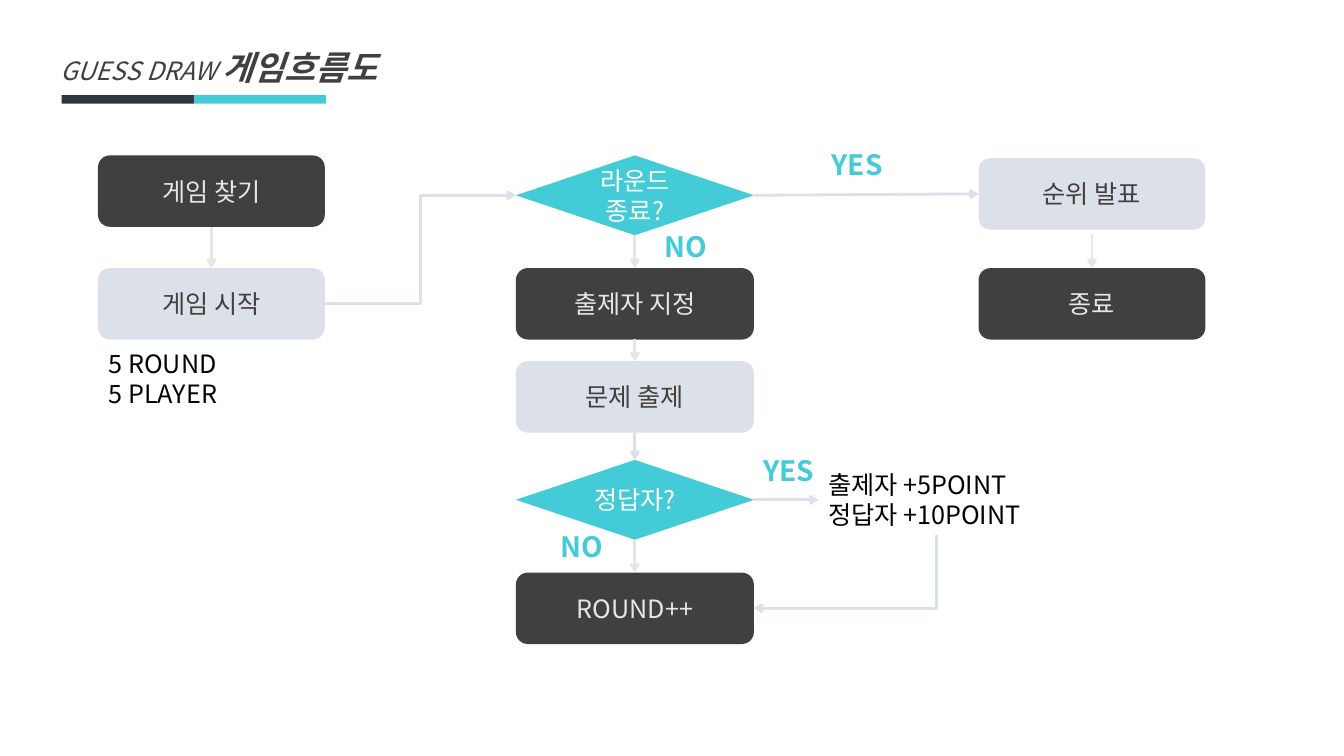
from lxml import etree
from pptx import Presentation
from pptx import util as u
from pptx.dml.color import RGBColor
from pptx.enum import shapes, text
from pptx.oxml.ns import qn

Pt = u.Pt
TOP, LEFT, BOTTOM, RIGHT = range(4)


class FlowSlide:
    font = "Noto Sans CJK KR"
    colors = {"dark": "404040", "pale": "DCE0E9", "teal": "43CBD7", "navy": "313540",
              "light": "E7E6E6", "white": "FFFFFF", "black": "000000"}

    def __init__(self, slide):
        self.slide = slide

    def color(self, name):
        return RGBColor.from_string(self.colors[name])

    def style(self, run, size, color, bold=False, italic=False):
        run.font.size = Pt(size)
        run.font.bold = bold
        run.font.italic = italic
        run.font.color.rgb = self.color(color)
        run.font.name = self.font
        etree.SubElement(run.font._element, qn("a:ea")).set("typeface", self.font)

    def title(self, lead, main):
        heading = self.slide.shapes.title
        heading.left, heading.top, heading.width, heading.height = Pt(36), Pt(1), Pt(330), Pt(65)
        frame = heading.text_frame
        frame.vertical_anchor = text.MSO_ANCHOR.TOP
        frame.auto_size = text.MSO_AUTO_SIZE.NONE
        line = frame.paragraphs[0]
        line.alignment = text.PP_ALIGN.LEFT
        line.line_spacing = 2.0
        for words, size, bold in ((lead, 18, False), (main, 24, True)):
            run = line.add_run()
            run.text = words
            self.style(run, size, "dark", bold, italic=True)

    def block(self, kind, left, top, width, height, fill):
        block = self.slide.shapes.add_shape(kind, Pt(left), Pt(top), Pt(width), Pt(height))
        block.shadow.inherit = False
        block.fill.solid()
        block.fill.fore_color.rgb = self.color(fill)
        block.line.fill.background()
        return block

    def wording(self, frame, words, size, color, bold=False, align=text.PP_ALIGN.LEFT):
        frame.word_wrap = True
        frame.text = words
        for line in frame.paragraphs:
            line.alignment = align
            for run in line.runs:
                self.style(run, size, color, bold)

    def node(self, words, column, top, fill, ink):
        decision = fill == "teal"
        kind = shapes.MSO_SHAPE.FLOWCHART_DECISION if decision else shapes.MSO_SHAPE.ROUNDED_RECTANGLE
        left, width = column
        node = self.block(kind, left, top, width, 57 if decision else 51, fill)
        node.text_frame.vertical_anchor = text.MSO_ANCHOR.MIDDLE
        self.wording(node.text_frame, words, 18, ink, align=text.PP_ALIGN.CENTER)
        return node

    def step(self, words, column, top):
        return self.node(words, column, top, "dark", "light")

    def stage(self, words, column, top):
        return self.node(words, column, top, "pale", "dark")

    def decision(self, words, column, top):
        return self.node(words, column, top, "teal", "white")

    def label(self, words, left, top, width, height, size=18, color="black", bold=False):
        box = self.slide.shapes.add_textbox(Pt(left), Pt(top), Pt(width), Pt(height))
        self.wording(box.text_frame, words, size, color, bold)

    def answer(self, words, left, top):
        self.label(words, left, top, 54, 31, 20, "teal", bold=True)

    def arrow(self, kind, start, end, color):
        arrow = self.slide.shapes.add_connector(kind, *(Pt(v) for v in start + end))
        arrow.line.width = Pt(2)
        arrow.line.color.rgb = self.color(color)
        outline = arrow._element.spPr.find(qn("a:ln"))
        etree.SubElement(outline, qn("a:tailEnd")).set("type", "arrow")
        etree.SubElement(arrow._element.spPr, qn("a:effectLst"))
        return arrow

    def straight(self, start, end, color="light"):
        return self.arrow(shapes.MSO_CONNECTOR.STRAIGHT, start, end, color)

    def link(self, source, source_side, target, target_side, color="light",
             kind=shapes.MSO_CONNECTOR.STRAIGHT):
        arrow = self.arrow(kind, (0, 0), (0, 0), color)
        arrow.begin_connect(source, source_side)
        arrow.end_connect(target, target_side)

    def down_then_left(self, start, end, color):
        across, down = start[0] - end[0], end[1] - start[1]
        left = (start[0] + end[0] - down) / 2
        top = (start[1] + end[1] - across) / 2
        arrow = self.arrow(shapes.MSO_CONNECTOR.ELBOW, (left, top),
                           (left + down, top + across), color)
        properties = arrow._element.spPr
        properties.find(qn("a:xfrm")).set("rot", "5400000")
        properties.find(qn("a:prstGeom")).set("prst", "bentConnector2")


deck = Presentation()
deck.slide_width, deck.slide_height = Pt(960), Pt(540)
flow = FlowSlide(deck.slides.add_slide(deck.slide_layouts[5]))

flow.title("GUESS DRAW ", "게임흐름도")
for position, color in enumerate(("navy", "teal")):
    flow.block(shapes.MSO_SHAPE.RECTANGLE, 44 + position * 94.5, 68, 94.5, 6, color)

setup, rounds, finish = (70, 162), (368.5, 170), (699, 162)
find_game = flow.step("게임 찾기", setup, 111)
start_game = flow.stage("게임 시작", setup, 191.5)
round_over = flow.decision("라운드 종료?", rounds, 111)
pick_drawer = flow.step("출제자 지정", rounds, 191.5)
give_question = flow.stage("문제 출제", rounds, 258)
has_winner = flow.decision("정답자?", rounds, 328.5)
next_round = flow.step("ROUND++", rounds, 409)
ranking = flow.stage("순위 발표", finish, 113)
game_end = flow.step("종료", finish, 191.5)

flow.label("5 ROUND\n5 PLAYER", 70.5, 245, 130, 50)
flow.label("출제자 +5POINT\n정답자 +10POINT", 584.5, 331.5, 168, 50)

flow.link(find_game, BOTTOM, start_game, TOP)
flow.link(start_game, RIGHT, round_over, LEFT, "pale", shapes.MSO_CONNECTOR.ELBOW)
flow.link(round_over, BOTTOM, pick_drawer, TOP)
flow.link(round_over, RIGHT, ranking, LEFT, "pale")
flow.link(pick_drawer, BOTTOM, give_question, TOP)
flow.link(give_question, BOTTOM, has_winner, TOP, "pale")
flow.link(has_winner, BOTTOM, next_round, TOP)
flow.straight((780, 167), (780, 191.5)).end_connect(game_end, TOP)
flow.straight((538.5, 357), (584.5, 357), "pale").begin_connect(has_winner, RIGHT)
flow.down_then_left((669, 382), (538.5, 434.5), "pale")

for words, left, top in (("YES", 538, 320.5), ("YES", 587, 102),
                         ("NO", 393, 375), ("NO", 467.5, 160.5)):
    flow.answer(words, left, top)

deck.save("out.pptx")
